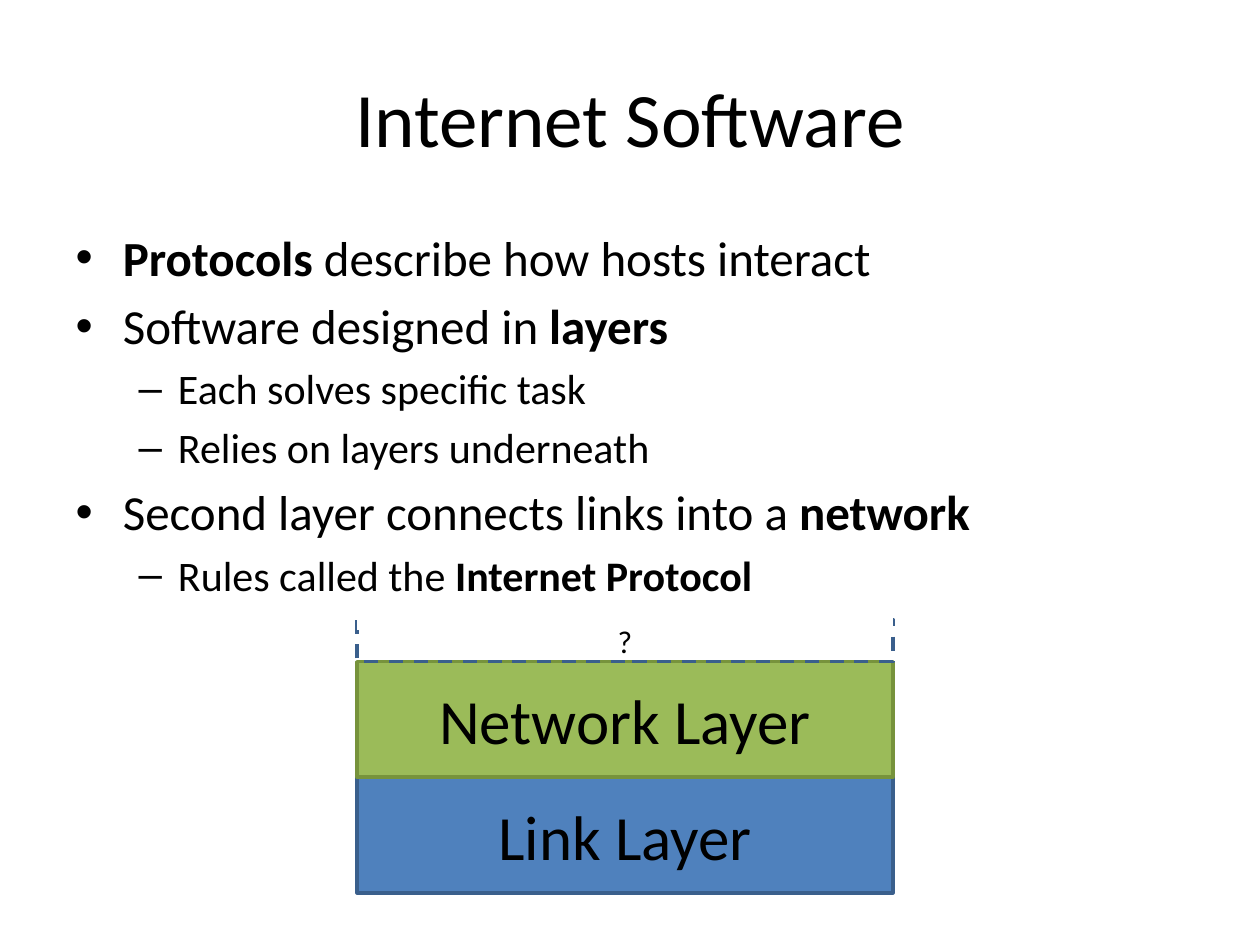
import pptx
import pptx.dml.color
import pptx.enum.dml
import pptx.enum.shapes
import pptx.enum.text
import pptx.util

RGBColor = pptx.dml.color.RGBColor
Cm = pptx.util.Cm
Pt = pptx.util.Pt

BLACK = RGBColor(0x00, 0x00, 0x00)
WHITE = RGBColor(0xFF, 0xFF, 0xFF)
BLUE = RGBColor(0x4F, 0x81, 0xBD)
DARK_BLUE = RGBColor(0x3A, 0x5F, 0x8C)
GREEN = RGBColor(0x9B, 0xBB, 0x59)
DARK_GREEN = RGBColor(0x77, 0x93, 0x3C)


def add_text(p, text, size=18, bold=False, color=BLACK, font="Calibri"):
    r = p.add_run()
    r.text = text
    r.font.name = font
    r.font.size = Pt(size)
    r.font.bold = bold
    r.font.color.rgb = color


class SlideBuilder:
    title_size = 44
    level_sizes = (28, 24)
    line_width = 2

    def __init__(self, slide):
        self.s = slide

    def place(self, sp, left, top, width, height):
        sp.left, sp.top, sp.width, sp.height = map(Cm, (left, top, width, height))

    def title(self, text, *box):
        sp = self.s.shapes.title
        self.place(sp, *box)
        p = sp.text_frame.paragraphs[0]
        p.alignment = pptx.enum.text.PP_ALIGN.CENTER
        add_text(p, text, self.title_size)

    def bullets(self, items, *box):
        sp = self.s.placeholders[1]
        self.place(sp, *box)
        tf = sp.text_frame
        tf.auto_size = pptx.enum.text.MSO_AUTO_SIZE.NONE
        for i, (level, *runs) in enumerate(items):
            p = tf.add_paragraph() if i else tf.paragraphs[0]
            p.level = level
            for text, bold in runs:
                add_text(p, text, self.level_sizes[level], bold)

    def box(self, left, top, width, height, text="", size=18,
            fill=None, line=None, dashed=False):
        sp = self.s.shapes.add_shape(
            pptx.enum.shapes.MSO_SHAPE.RECTANGLE,
            Cm(left), Cm(top), Cm(width), Cm(height))
        sp.shadow.inherit = False
        if fill is None:
            sp.fill.background()
        else:
            sp.fill.solid()
            sp.fill.fore_color.rgb = fill
        if line is None:
            sp.line.fill.background()
        else:
            sp.line.color.rgb = line
            sp.line.width = Pt(self.line_width)
            if dashed:
                sp.line.dash_style = pptx.enum.dml.MSO_LINE.DASH
        if text:
            tf = sp.text_frame
            tf.vertical_anchor = pptx.enum.text.MSO_ANCHOR.MIDDLE
            p = tf.paragraphs[0]
            p.alignment = pptx.enum.text.PP_ALIGN.CENTER
            add_text(p, text, size)


def main():
    prs = pptx.Presentation()
    prs.slide_width, prs.slide_height = Cm(25.4), Cm(19.05)
    b = SlideBuilder(prs.slides.add_slide(prs.slide_layouts[1]))

    # Title and bullet list
    b.title("Internet Software", 1.27, 0.76, 22.86, 3.18)
    b.bullets([
        (0, ("Protocols", True), (" describe how hosts interact", False)),
        (0, ("Software designed in ", False), ("layers", True)),
        (1, ("Each solves specific task", False)),
        (1, ("Relies on layers underneath", False)),
        (0, ("Second layer connects links into a ", False), ("network", True)),
        (1, ("Rules called the", False), (" Internet Protocol", True)),
    ], 1.27, 4.45, 22.86, 12.57)

    # Layer stack, built from the bottom up
    left, width, top = 7.2, 10.8, 18
    layers = [
        (2.33, dict(text="Link Layer", size=36, fill=BLUE, line=DARK_BLUE)),
        (2.33, dict(text="Network Layer", size=36, fill=GREEN, line=DARK_GREEN)),
        (0.85, dict(text="?", line=DARK_BLUE, dashed=True)),
    ]
    for height, style in layers:
        top -= height
        b.box(left, top, width, height, **style)

    # White strip that leaves the unknown layer open at the top
    strip = 0.42
    b.box(left, top - strip / 2, width, strip, fill=WHITE)

    prs.save("out.pptx")


if __name__ == "__main__":
    main()
